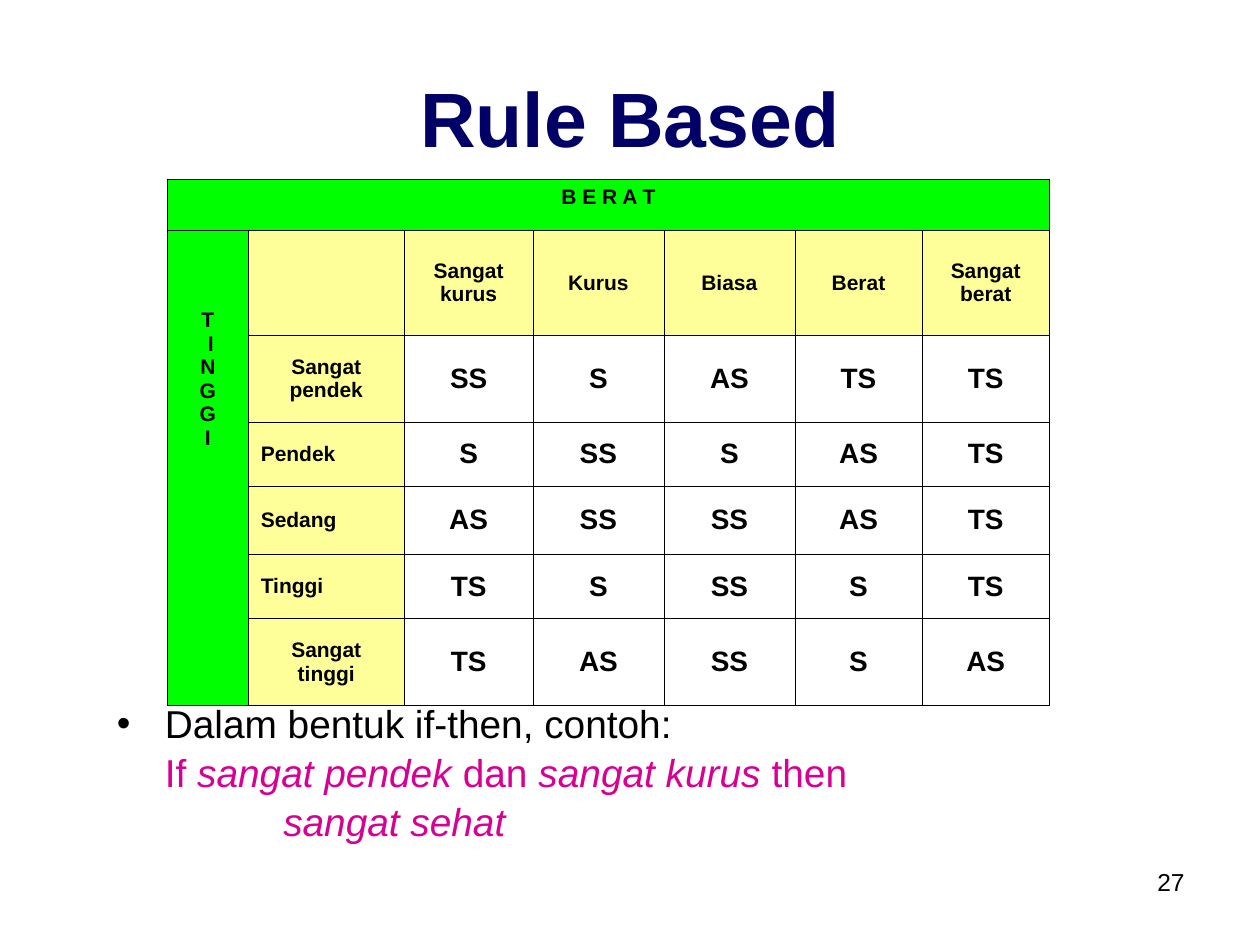
from lxml import etree
from pptx import Presentation
from pptx.dml.color import RGBColor
from pptx.enum import text
from pptx.oxml import ns
from pptx.util import Inches, Pt

NAVY = RGBColor(0x00, 0x00, 0x66)
BLACK = RGBColor(0x00, 0x00, 0x00)
PINK = RGBColor(0xD6, 0x00, 0x93)
GREEN = RGBColor(0x00, 0xFF, 0x00)
CREAM = RGBColor(0xFF, 0xFF, 0x99)
LEFT, MID, RIGHT = text.PP_ALIGN.LEFT, text.PP_ALIGN.CENTER, text.PP_ALIGN.RIGHT
TOP, CENTER = text.MSO_ANCHOR.TOP, text.MSO_ANCHOR.MIDDLE

COLS = [0.64, 1.24, 1.02, 1.04, 1.04, 1.01, 1.01]
ROWS = [0.41, 0.83, 0.69, 0.51, 0.54, 0.51, 0.69]
HEADS = ["Sangat kurus", "Kurus", "Biasa", "Berat", "Sangat berat"]
RULES = {
    "Sangat pendek": "SS S AS TS TS",
    "Pendek": "S SS S AS TS",
    "Sedang": "AS SS SS AS TS",
    "Tinggi": "TS S SS S TS",
    "Sangat tinggi": "TS AS SS S AS",
}


def style(font, size, color=BLACK, bold=False, slant=False):
    """Set the look of a font."""
    font.name, font.size, font.bold, font.italic = "Arial", Pt(size), bold, slant
    font.color.rgb = color


def add_box(slide, box, anchor):
    """Add a wrapping text box and return its frame."""
    frame = slide.shapes.add_textbox(*map(Inches, box)).text_frame
    frame.word_wrap = True
    frame.vertical_anchor = anchor
    return frame


def add_line(slide, box, words, align, anchor, size, color=BLACK, bold=False):
    """Add a box that holds a single line."""
    frame = add_box(slide, box, anchor)
    frame.text = words
    para = frame.paragraphs[0]
    para.alignment = align
    style(para.runs[0].font, size, color, bold)


def add_border(cell):
    """Draw a thin black line on each side of a cell."""
    props = cell._tc.get_or_add_tcPr()
    for i, side in enumerate(("lnL", "lnR", "lnT", "lnB")):
        line = etree.Element(ns.qn("a:" + side), w=str(Pt(0.45)))
        fill = etree.SubElement(line, ns.qn("a:solidFill"))
        etree.SubElement(fill, ns.qn("a:srgbClr"), val=str(BLACK))
        props.insert(i, line)


def set_cell(cell, words, size=12, fill=None, align=MID, anchor=CENTER):
    """Fill one cell with bold text."""
    cell.text = words
    cell.vertical_anchor = anchor
    if fill is None:
        cell.fill.background()
    else:
        cell.fill.solid()
        cell.fill.fore_color.rgb = fill
    for para in cell.text_frame.paragraphs:
        para.alignment = align
        for run in para.runs:
            style(run.font, size, bold=True)


def add_grid(slide, box):
    """Add the table of height against weight."""
    grid = slide.shapes.add_table(len(ROWS), len(COLS), *map(Inches, box)).table
    grid.first_row = grid.horz_banding = False
    for col, width in zip(grid.columns, COLS):
        col.width = Inches(width)
    for row, height in zip(grid.rows, ROWS):
        row.height = Inches(height)
    for cell in grid.iter_cells():
        cell.fill.background()
        add_border(cell)
    grid.cell(0, 0).merge(grid.cell(0, len(COLS) - 1))
    grid.cell(1, 0).merge(grid.cell(len(ROWS) - 1, 0))
    set_cell(grid.cell(0, 0), "B E R A T", fill=GREEN, anchor=TOP)
    side = grid.cell(1, 0)
    set_cell(side, "T\n I\nN\nG\nG\nI", fill=GREEN, anchor=TOP)
    side.margin_top = Inches(0.62)
    for c, head in enumerate([""] + HEADS, 1):
        set_cell(grid.cell(1, c), head, fill=CREAM)
    for r, (name, marks) in enumerate(RULES.items(), 2):
        align = MID if " " in name else LEFT
        set_cell(grid.cell(r, 1), name, fill=CREAM, align=align)
        for c, mark in enumerate(marks.split(), 2):
            set_cell(grid.cell(r, c), mark, 16)


def add_body(slide, box):
    """Add the bullet and the sample rule."""
    frame = add_box(slide, box, text.MSO_ANCHOR.BOTTOM)
    frame.margin_bottom = Inches(0.22)
    lines = [
        (0.38, BLACK, [("Dalam bentuk if-then, contoh:", False)]),
        (0.38, PINK, [("If ", False), ("sangat pendek", True), (" dan ", False),
                      ("sangat kurus", True), (" then", False)]),
        (1.32, PINK, [("sangat sehat", True)]),
    ]
    for i, (left, color, parts) in enumerate(lines):
        para = frame.add_paragraph() if i else frame.paragraphs[0]
        para.line_spacing = 1.05
        props = para._p.get_or_add_pPr()
        props.set("marL", str(Inches(left)))
        if i == 0:
            props.set("indent", str(-Inches(left)))
            etree.SubElement(props, ns.qn("a:buFont"), typeface="Arial")
            etree.SubElement(props, ns.qn("a:buChar"), char="•")
        for words, slant in parts:
            run = para.add_run()
            run.text = words
            style(run.font, 22.2, color, slant=slant)


def main():
    """Build and save the slide."""
    deck = Presentation()
    deck.slide_width, deck.slide_height = Inches(10), Inches(7.5)
    slide = deck.slides.add_slide(deck.slide_layouts[6])
    add_line(slide, (0.5, 0.3, 9, 1.25), "Rule Based", MID, CENTER, 44, NAVY, True)
    add_body(slide, (0.83, 3.75, 8.67, 3.17))
    add_line(slide, (7.17, 6.83, 2.33, 0.52), "27", RIGHT, TOP, 14)
    add_grid(slide, (1.33, 1.42, 7, 4.17))
    deck.save("out.pptx")


if __name__ == "__main__":
    main()
